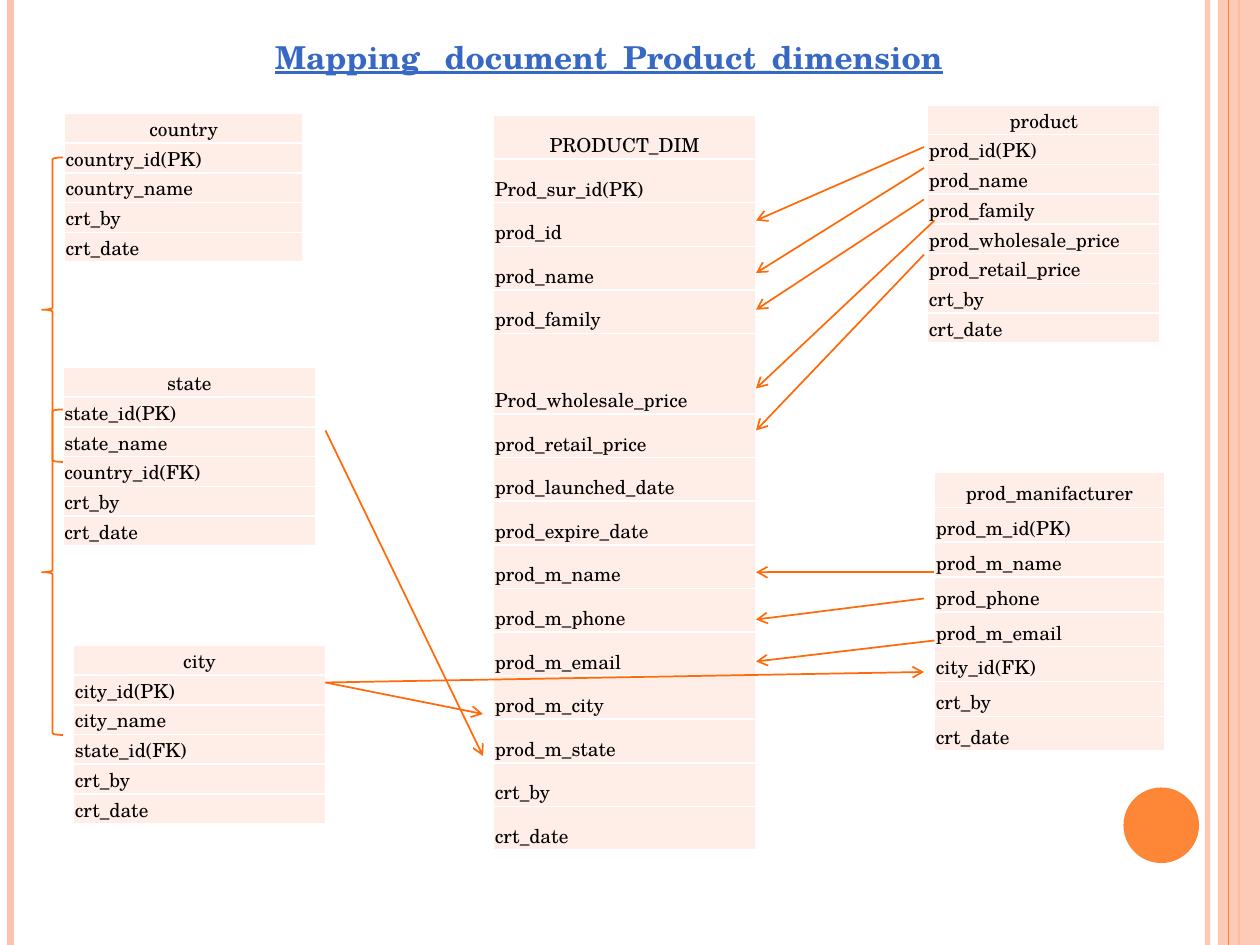
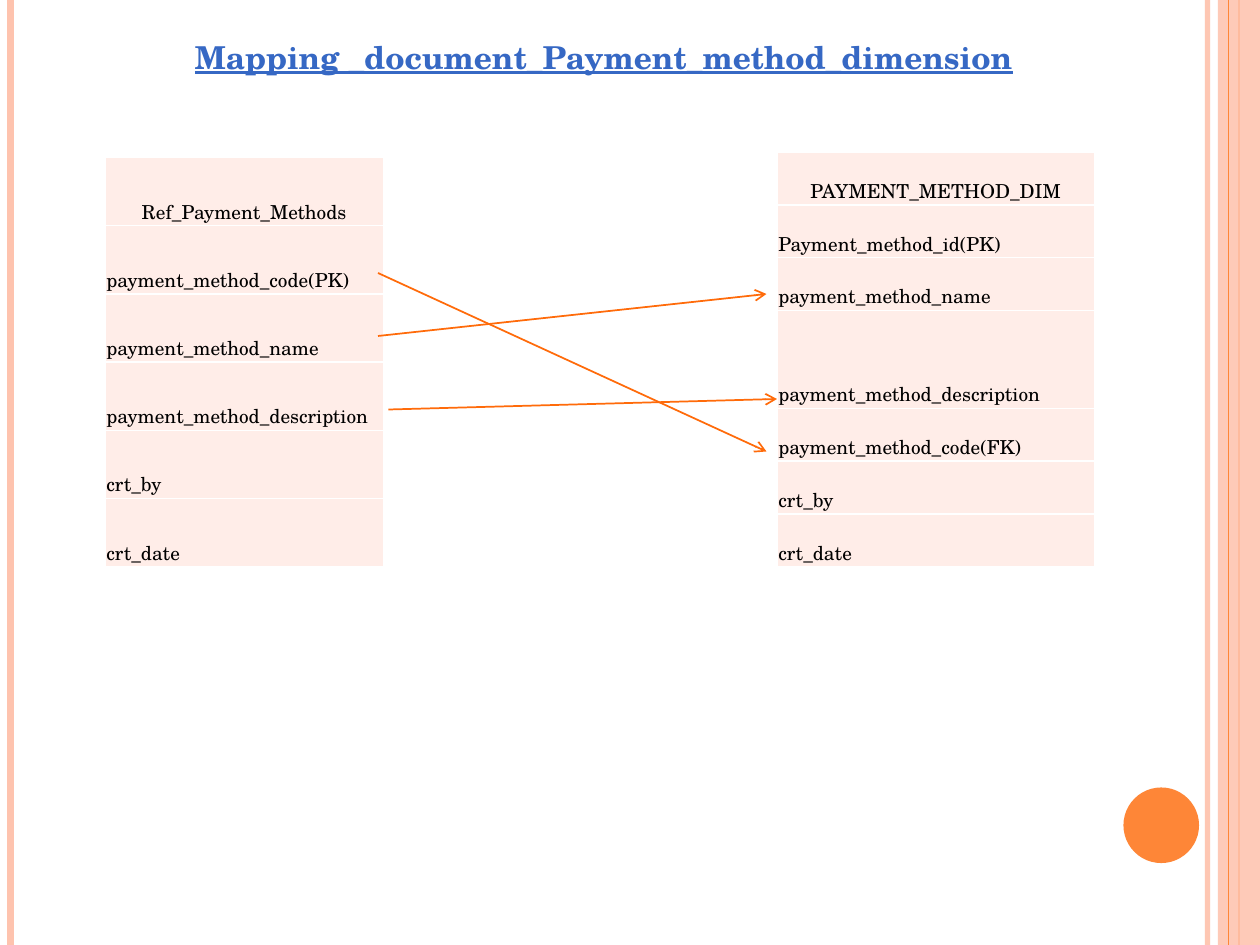
import pptx
import pptx.dml.color
import pptx.enum.shapes
import pptx.enum.text
import pptx.oxml.ns
import pptx.util
from lxml import etree

Pt = pptx.util.Pt
qn = pptx.oxml.ns.qn
SHAPE = pptx.enum.shapes.MSO_SHAPE
ALIGN = pptx.enum.text.PP_ALIGN
ANCHOR = pptx.enum.text.MSO_ANCHOR


def rgb(hex_color):
    return pptx.dml.color.RGBColor.from_string(hex_color)


class Deck:
    FONT = "TeX Gyre Schola"
    TITLE, TEXT, WHITE = "3668C4", "000000", "FFFFFF"
    PEACH, ORANGE, ARROW, CELL = "FEC3AE", "FE8637", "FF6B0A", "FFEDE8"
    WIDTH, HEIGHT = 720, 540

    def __init__(self):
        self.prs = pptx.Presentation()
        self.prs.slide_width, self.prs.slide_height = Pt(self.WIDTH), Pt(self.HEIGHT)
        self.s = None

    def slide(self, title, left, width):
        self.s = self.prs.slides.add_slide(self.prs.slide_layouts[5])
        self.frame()
        self.title(title, left, width)

    # Side bands and circle shared by all slides
    def frame(self):
        self.rule(690, self.PEACH, 3, 93)
        self.rule(6, self.PEACH, 4.5)
        self.rule(708, self.ORANGE, 1.5)
        self.shape(SHAPE.RECTANGLE, 696, 0, 24, self.HEIGHT, fill=self.PEACH, alpha=87)
        self.rule(702, self.ORANGE, 0.75)
        self.shape(SHAPE.OVAL, 642, 450, 43.2, 43.2, fill=self.ORANGE)

    def title(self, text, left, width):
        sp = self.s.shapes.title
        sp.left, sp.top, sp.width, sp.height = Pt(left), Pt(18), Pt(width), Pt(29)
        tf = sp.text_frame
        tf.auto_size = pptx.enum.text.MSO_AUTO_SIZE.NONE
        tf.word_wrap = True
        tf.vertical_anchor = ANCHOR.MIDDLE
        r = self.run(tf.paragraphs[0], text, 18, self.TITLE, ALIGN.CENTER)
        r.font.bold = r.font.underline = True

    def run(self, p, text, size, color, align):
        p.alignment = align
        r = p.add_run()
        r.text = text
        r.font.name, r.font.size = self.FONT, Pt(size)
        r.font.color.rgb = rgb(color)
        return r

    def shape(self, kind, left, top, width, height, fill=None, line=None, alpha=100):
        sp = self.s.shapes.add_shape(kind, Pt(left), Pt(top), Pt(width), Pt(height))
        sp.shadow.inherit = False
        if fill:
            sp.fill.solid()
            sp.fill.fore_color.rgb = rgb(fill)
            self.opacity(sp, alpha)
        else:
            sp.fill.background()
        if line:
            sp.line.color.rgb = rgb(line)
            sp.line.width = Pt(1)
        else:
            sp.line.fill.background()

    def brace(self, top, bottom):
        self.shape(SHAPE.LEFT_BRACE, 24, top, 12, bottom - top, line=self.ARROW)

    def opacity(self, sp, alpha):
        if alpha < 100:
            clr = next(sp._element.spPr.iter(qn("a:srgbClr")))
            etree.SubElement(clr, qn("a:alpha"), val=str(alpha * 1000))

    def line(self, x1, y1, x2, y2, color, width):
        sp = self.s.shapes.add_connector(
            pptx.enum.shapes.MSO_CONNECTOR.STRAIGHT, Pt(x1), Pt(y1), Pt(x2), Pt(y2))
        sp.line.color.rgb = rgb(color)
        sp.line.width = Pt(width)
        etree.SubElement(sp._element.spPr, qn("a:effectLst"))
        return sp

    def rule(self, x, color, width, alpha=100):
        self.opacity(self.line(x, 0, x, self.HEIGHT, color, width), alpha)

    def arrow(self, x1, y1, x2, y2):
        sp = self.line(x1, y1, x2, y2, self.ARROW, 1)
        etree.SubElement(sp.line._get_or_add_ln(), qn("a:tailEnd"), type="arrow")

    # One-column table: centred heading, then fields; one row may be taller
    def entity(self, left, top, width, row_height, names, tall=None, tall_height=0):
        names = names.split()
        heights = [tall_height if n == tall else row_height for n in names]
        table = self.s.shapes.add_table(
            len(names), 1, Pt(left), Pt(top), Pt(width), Pt(sum(heights))).table
        table.first_row = table.horz_banding = False
        for i, (name, height) in enumerate(zip(names, heights)):
            table.rows[i].height = Pt(height)
            cell = table.cell(i, 0)
            self.borders(cell)
            cell.fill.solid()
            cell.fill.fore_color.rgb = rgb(self.CELL)
            cell.margin_left = cell.margin_right = cell.margin_top = Pt(0.75)
            cell.margin_bottom = 0
            cell.vertical_anchor = ANCHOR.BOTTOM
            self.run(cell.text_frame.paragraphs[0], name, 11, self.TEXT,
                     ALIGN.LEFT if i else ALIGN.CENTER)

    def borders(self, cell):
        tcPr = cell._tc.get_or_add_tcPr()
        for side in "LRTB":
            ln = etree.SubElement(tcPr, qn("a:ln" + side), w=str(Pt(1)))
            fill = etree.SubElement(ln, qn("a:solidFill"))
            etree.SubElement(fill, qn("a:srgbClr"), val=self.WHITE)


deck = Deck()

# Slide 1: product dimension
deck.slide("Mapping _document_Product_dimension", 24, 648)
deck.entity(282, 66, 150, 24.93,
            "PRODUCT_DIM Prod_sur_id(PK) prod_id prod_name prod_family "
            "Prod_wholesale_price prod_retail_price prod_launched_date "
            "prod_expire_date prod_m_name prod_m_phone prod_m_email "
            "prod_m_city prod_m_state crt_by crt_date",
            tall="Prod_wholesale_price", tall_height=46)
deck.entity(530, 60, 133, 14.5,
            "product prod_id(PK) prod_name prod_family prod_wholesale_price "
            "prod_retail_price crt_by crt_date")
deck.entity(534, 270, 131.5, 19.9,
            "prod_manifacturer prod_m_id(PK) prod_m_name prod_phone "
            "prod_m_email city_id(FK) crt_by crt_date")
deck.entity(36.75, 64.8, 136.5, 14.5,
            "country country_id(PK) country_name crt_by crt_date")
deck.entity(36, 210, 144.5, 14.5,
            "state state_id(PK) state_name country_id(FK) crt_by crt_date")
deck.entity(42, 368.75, 144, 14.5,
            "city city_id(PK) city_name state_id(FK) crt_by crt_date")

# Key relations on the left
deck.brace(90, 264)
deck.brace(234, 420)

# Sources on the right, into the dimension's right edge
for x, y, target in [(534, 366, 378), (528, 342, 354), (534, 327, 327),
                     (528, 84, 126), (528, 96, 156), (528, 114, 177),
                     (534, 126, 222), (528, 145.5, 246)]:
    deck.arrow(x, y, 432, target)

# Sources on the left
for y, x_end, y_end in [(390, 276, 408), (246, 276, 432), (390, 528, 384)]:
    deck.arrow(186, y, x_end, y_end)

# Slide 2: payment method dimension
deck.slide("Mapping _document_Payment_method_dimension", 30, 630)
deck.entity(60, 90, 159, 39,
            "Ref_Payment_Methods payment_method_code(PK) payment_method_name "
            "payment_method_description crt_by crt_date")
deck.entity(444, 87, 181.5, 30.15,
            "PAYMENT_METHOD_DIM Payment_method_id(PK) payment_method_name "
            "payment_method_description payment_method_code(FK) crt_by crt_date",
            tall="payment_method_description", tall_height=56)
for ends in [(216, 156, 438, 258), (216, 192, 438, 168), (222, 234, 444, 228)]:
    deck.arrow(*ends)

deck.prs.save("out.pptx")
